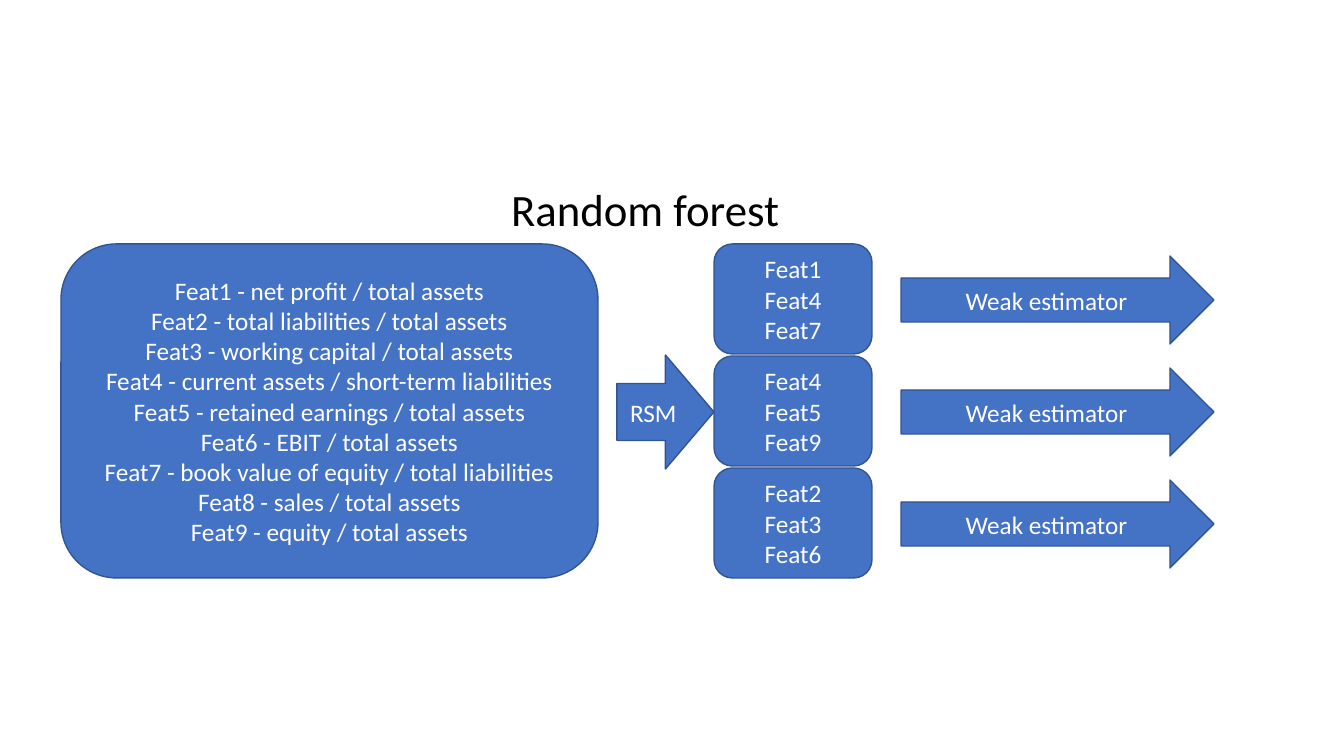
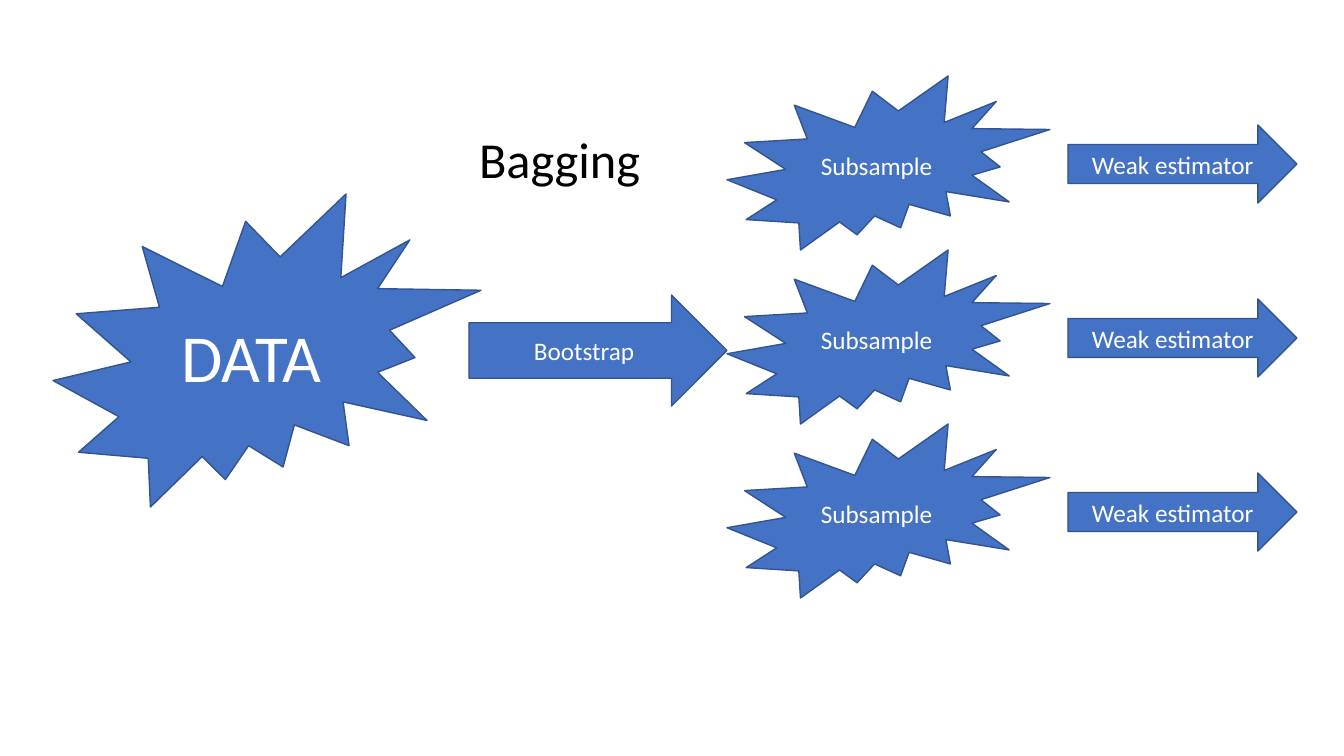
from pptx import Presentation
from pptx.dml.color import RGBColor
from pptx.enum.shapes import MSO_SHAPE
from pptx.enum.text import MSO_ANCHOR, MSO_AUTO_SIZE, PP_ALIGN
from pptx.util import Emu, Pt

ROUNDED_BOX = MSO_SHAPE.FLOWCHART_ALTERNATE_PROCESS
ARROW = MSO_SHAPE.RIGHT_ARROW
BURST = MSO_SHAPE.EXPLOSION2
MIDDLE, TOP = MSO_ANCHOR.MIDDLE, MSO_ANCHOR.TOP
CENTER, LEFT = PP_ALIGN.CENTER, PP_ALIGN.LEFT
NO_AUTOFIT = MSO_AUTO_SIZE.NONE

FONT = "Calibri"
COLORS = {"fill": "4472C4", "outline": "325491", "label": "FFFFFF", "title": "000000"}
EMU_PER_PIXEL = 914400 / 100.8
SLIDE_SIZE = (1344, 756)
TITLE_ONLY = 5

FEATURES = [
    "net profit / total assets",
    "total liabilities / total assets",
    "working capital / total assets",
    "current assets / short-term liabilities",
    "retained earnings / total assets",
    "EBIT / total assets",
    "book value of equity / total liabilities",
    "sales / total assets",
    "equity / total assets",
]
FEATURE_SUBSETS = [(1, 4, 7), (4, 5, 9), (2, 3, 6)]


def pixels(length):
    return Emu(round(length * EMU_PER_PIXEL))


def color(name):
    return RGBColor.from_string(COLORS[name])


def write_lines(shape, lines, size, color_name, alignment, anchor):
    frame = shape.text_frame
    frame.text = "\n".join(lines)
    frame.vertical_anchor = anchor
    for paragraph in frame.paragraphs:
        paragraph.alignment = alignment
        paragraph.font.name = FONT
        paragraph.font.size = Pt(size)
        paragraph.font.color.rgb = color(color_name)


def add_title(slide, box, text, size):
    title = slide.shapes.title
    title.left, title.top, title.width, title.height = map(pixels, box)
    write_lines(title, [text], size, "title", LEFT, TOP)
    title.text_frame.auto_size = NO_AUTOFIT


def add_block(slide, kind, box, lines, size=18):
    shape = slide.shapes.add_shape(kind, *map(pixels, box))
    shape.shadow.inherit = False
    shape.fill.solid()
    shape.fill.fore_color.rgb = color("fill")
    shape.line.color.rgb = color("outline")
    shape.line.width = Pt(1)
    write_lines(shape, lines, size, "label", CENTER, MIDDLE)


def add_column(slide, kind, first_box, pitch, labels):
    """Stack one block per label, starting at first_box."""
    left, top, width, height = first_box
    for row, lines in enumerate(labels):
        add_block(slide, kind, (left, top + row * pitch, width, height), lines)


def add_random_forest_slide(presentation, box):
    slide = presentation.slides.add_slide(presentation.slide_layouts[TITLE_ONLY])
    left, top, width, height = box
    pitch = 112
    add_title(slide, (left + 440, top - 67, 300, 65), "Random forest", 32)

    # All features, then the random subspace step
    feature_lines = [f"Feat{number} - {ratio}" for number, ratio in enumerate(FEATURES, 1)]
    add_block(slide, ROUNDED_BOX, (left, top, 537, height), feature_lines)
    add_block(slide, ARROW, (left + 556, top + 111, 97, 114), ["RSM"])

    # Feature subsets, each feeding an estimator
    subsets = [[f"Feat{number}" for number in subset] for subset in FEATURE_SUBSETS]
    add_column(slide, ROUNDED_BOX, (left + 653, top, 158, 110), pitch, subsets)
    add_column(slide, ARROW, (left + width - 313, top + 12, 313, 88), pitch,
               [["Weak estimator"]] * len(subsets))


def add_bagging_slide(presentation, box):
    slide = presentation.slides.add_slide(presentation.slide_layouts[TITLE_ONLY])
    left, top, width, height = box
    samples = 3
    pitch = height // samples
    add_title(slide, (left + 416, top + 47, 219, 72), "Bagging", 36)

    # Data, then the bootstrap step
    add_block(slide, BURST, (left, top + 118, 428, 313), ["DATA"], 48)
    add_block(slide, ARROW, (left + 416, top + 219, 258, 111), ["Bootstrap"])

    # Subsamples, each feeding an estimator
    add_column(slide, BURST, (left + 674, top, 323, pitch), pitch, [["Subsample"]] * samples)
    add_column(slide, ARROW, (left + width - 229, top + 49, 229, 78), pitch,
               [["Weak estimator"]] * samples)


presentation = Presentation()
presentation.slide_width, presentation.slide_height = map(pixels, SLIDE_SIZE)
add_random_forest_slide(presentation, (61, 244, 1153, 334))
add_bagging_slide(presentation, (53, 76, 1244, 522))
presentation.save("out.pptx")
